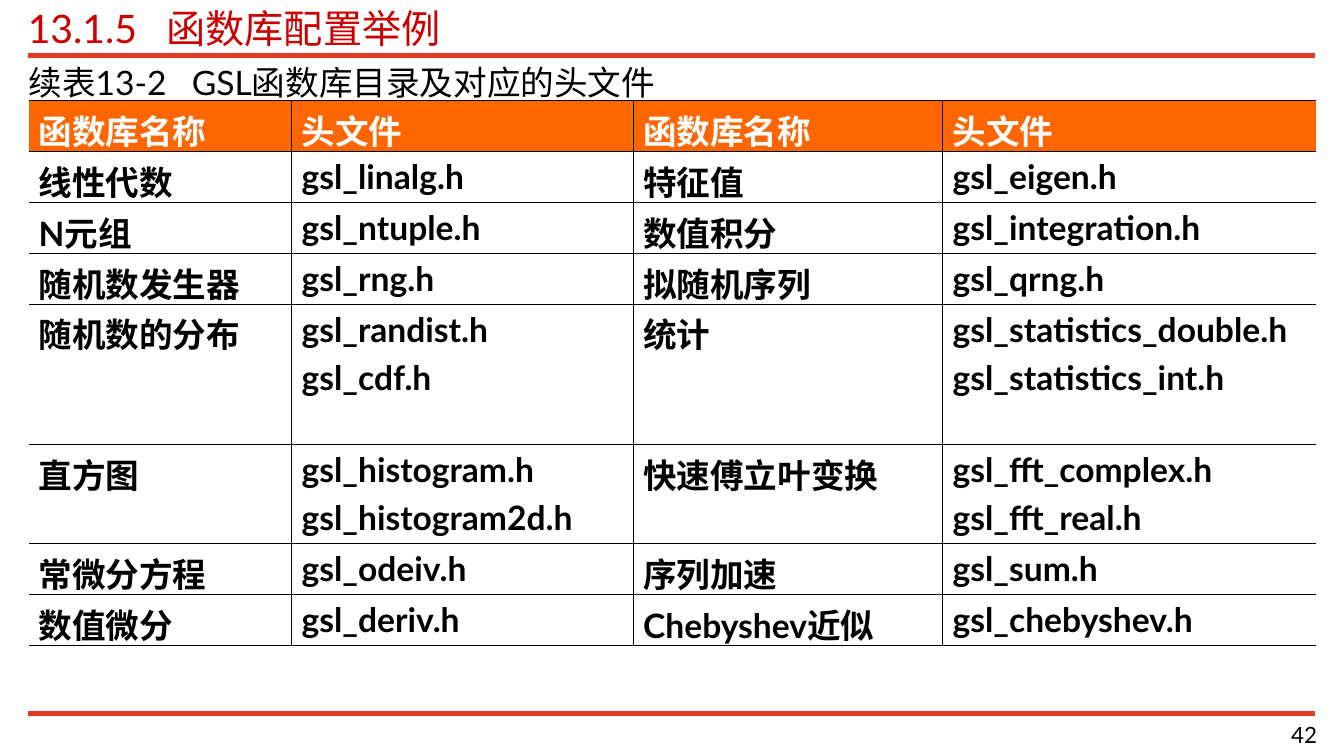
import pptx
import pptx.dml.color
import pptx.enum.shapes
import pptx.enum.text
import pptx.oxml
import pptx.oxml.ns
import pptx.util
from pptx.util import Cm, Pt

FONT = "Lato"
BLACK, WHITE, RED, RULE, ORANGE = "000000", "FFFFFF", "CC0000", "E13A23", "FF6600"
NS = pptx.oxml.ns.nsdecls("a")
LEFT, TABLE_LEFT, WIDTH = 0.7, 0.72, 32.46
COLUMNS = [6.63, 8.61, 7.8, 9.42]
ROWS = [
    (1.28, ["函数库名称", "头文件", "函数库名称", "头文件"]),
    (1.28, ["线性代数", "gsl_linalg.h", "特征值", "gsl_eigen.h"]),
    (1.28, ["N元组", "gsl_ntuple.h", "数值积分", "gsl_integration.h"]),
    (1.28, ["随机数发生器", "gsl_rng.h", "拟随机序列", "gsl_qrng.h"]),
    (3.53, ["随机数的分布", "gsl_randist.h\ngsl_cdf.h", "统计",
            "gsl_statistics_double.h\ngsl_statistics_int.h"]),
    (2.51, ["直方图", "gsl_histogram.h\ngsl_histogram2d.h", "快速傅立叶变换",
            "gsl_fft_complex.h\ngsl_fft_real.h"]),
    (1.28, ["常微分方程", "gsl_odeiv.h", "序列加速", "gsl_sum.h"]),
    (1.28, ["数值微分", "gsl_deriv.h", "Chebyshev近似", "gsl_chebyshev.h"]),
]


def rgb(value):
    """Return the colour for a hex string."""
    return pptx.dml.color.RGBColor.from_string(value)


def add_run(p, text, size, color, bold=False):
    """Append one formatted run to a paragraph."""
    r = p.add_run()
    r.text = text
    r.font.name, r.font.size, r.font.bold = FONT, Pt(size), bold
    r.font.color.rgb = rgb(color)


def add_tab_stop(p, position):
    """Give a paragraph one left tab stop, in centimetres."""
    p._p.get_or_add_pPr().append(pptx.oxml.parse_xml(
        f'<a:tabLst {NS}><a:tab pos="{Cm(position)}" algn="l"/></a:tabLst>'))


def fit_frame(sp, anchor):
    """Strip the margins of a shape's text frame and return its first paragraph."""
    tf = sp.text_frame
    tf.word_wrap = True
    tf.auto_size = pptx.enum.text.MSO_AUTO_SIZE.NONE
    tf.vertical_anchor = anchor
    tf.margin_left = tf.margin_right = tf.margin_top = tf.margin_bottom = 0
    return tf.paragraphs[0]


def add_rule(s, x, y, w, weight):
    """Draw a horizontal red rule."""
    sp = s.shapes.add_connector(
        pptx.enum.shapes.MSO_CONNECTOR.STRAIGHT, Cm(x), Cm(y), Cm(x + w), Cm(y))
    sp.line.color.rgb, sp.line.width = rgb(RULE), Pt(weight)
    sp._element.spPr.append(pptx.oxml.parse_xml(f"<a:effectLst {NS}/>"))


def add_header(s, x, y, w, h):
    """Place the title and the rule beneath it."""
    sp = s.shapes.title
    sp.left, sp.top, sp.width, sp.height = Cm(x), Cm(y), Cm(w), Cm(h)
    p = fit_frame(sp, pptx.enum.text.MSO_ANCHOR.MIDDLE)
    p.alignment = pptx.enum.text.PP_ALIGN.LEFT
    add_tab_stop(p, 3.5)
    add_run(p, "13.1.5\t函数库配置举例", 28, RED)
    add_rule(s, x, y + h + 0.1, w, 4)


def add_caption(s, x, y, w, h):
    """Place the table caption."""
    sp = s.shapes.add_textbox(Cm(x), Cm(y), Cm(w), Cm(h))
    p = fit_frame(sp, pptx.enum.text.MSO_ANCHOR.TOP)
    add_tab_stop(p, 4.12)
    add_run(p, "续表13-2\tGSL函数库目录及对应的头文件", 24, BLACK)


def add_borders(cell, widths):
    """Set left, right, top and bottom borders; zero means no line."""
    tc_pr = cell._tc.get_or_add_tcPr()
    for i, (side, width) in enumerate(zip("LRTB", widths)):
        fill = f'<a:solidFill><a:srgbClr val="{BLACK}"/></a:solidFill>' if width else "<a:noFill/>"
        tc_pr.insert(i, pptx.oxml.parse_xml(
            f'<a:ln{side} {NS} w="{Pt(width)}">{fill}</a:ln{side}>'))


def add_library_table(s, x, y, w, h):
    """Place the table of libraries and header files."""
    table = s.shapes.add_table(
        len(ROWS), len(COLUMNS), Cm(x), Cm(y), Cm(w), Cm(h)).table
    table.first_row = table.horz_banding = False
    for column, width in zip(table.columns, COLUMNS):
        column.width = Cm(width)
    for i, (height, texts) in enumerate(ROWS):
        table.rows[i].height = Cm(height)
        top = 0.62 if i < 2 else 0.45
        bottom = 0.62 if i in (0, len(ROWS) - 1) else 0.45
        for j, text in enumerate(texts):
            cell = table.cell(i, j)
            cell.margin_bottom = Cm(-0.08)
            if i == 0:
                cell.fill.solid()
                cell.fill.fore_color.rgb = rgb(ORANGE)
            else:
                cell.fill.background()
            add_borders(cell, (0.45 if j else 0, 0.45 if j < len(COLUMNS) - 1 else 0, top, bottom))
            tf = cell.text_frame
            for k, line in enumerate(text.split("\n")):
                p = tf.add_paragraph() if k else tf.paragraphs[0]
                if k:
                    p.space_before = Pt(6)
                add_run(p, line, 24, BLACK if i else WHITE, bold=True)


def add_footer(s, x, y, w, h):
    """Place the bottom rule and the page number."""
    add_rule(s, x, y, w, 3)
    number_width = 6.8
    sp = s.shapes.add_textbox(
        Cm(x + w + 0.04 - number_width), Cm(y + 0.2), Cm(number_width), Cm(h - 0.2))
    p = fit_frame(sp, pptx.enum.text.MSO_ANCHOR.TOP)
    p.alignment = pptx.enum.text.PP_ALIGN.RIGHT
    add_run(p, "42", 16, BLACK)


def main():
    """Build and save the slide."""
    prs = pptx.Presentation()
    prs.slide_width, prs.slide_height = Cm(33.88), Cm(19.05)
    s = prs.slides.add_slide(prs.slide_layouts[5])
    add_header(s, LEFT, 0.1, WIDTH, 1.2)
    add_caption(s, TABLE_LEFT, 1.55, WIDTH, 1.02)
    add_library_table(s, TABLE_LEFT, 2.54, WIDTH, sum(height for height, _ in ROWS))
    add_footer(s, LEFT, 17.98, WIDTH, 1)
    prs.save("out.pptx")


if __name__ == "__main__":
    main()
